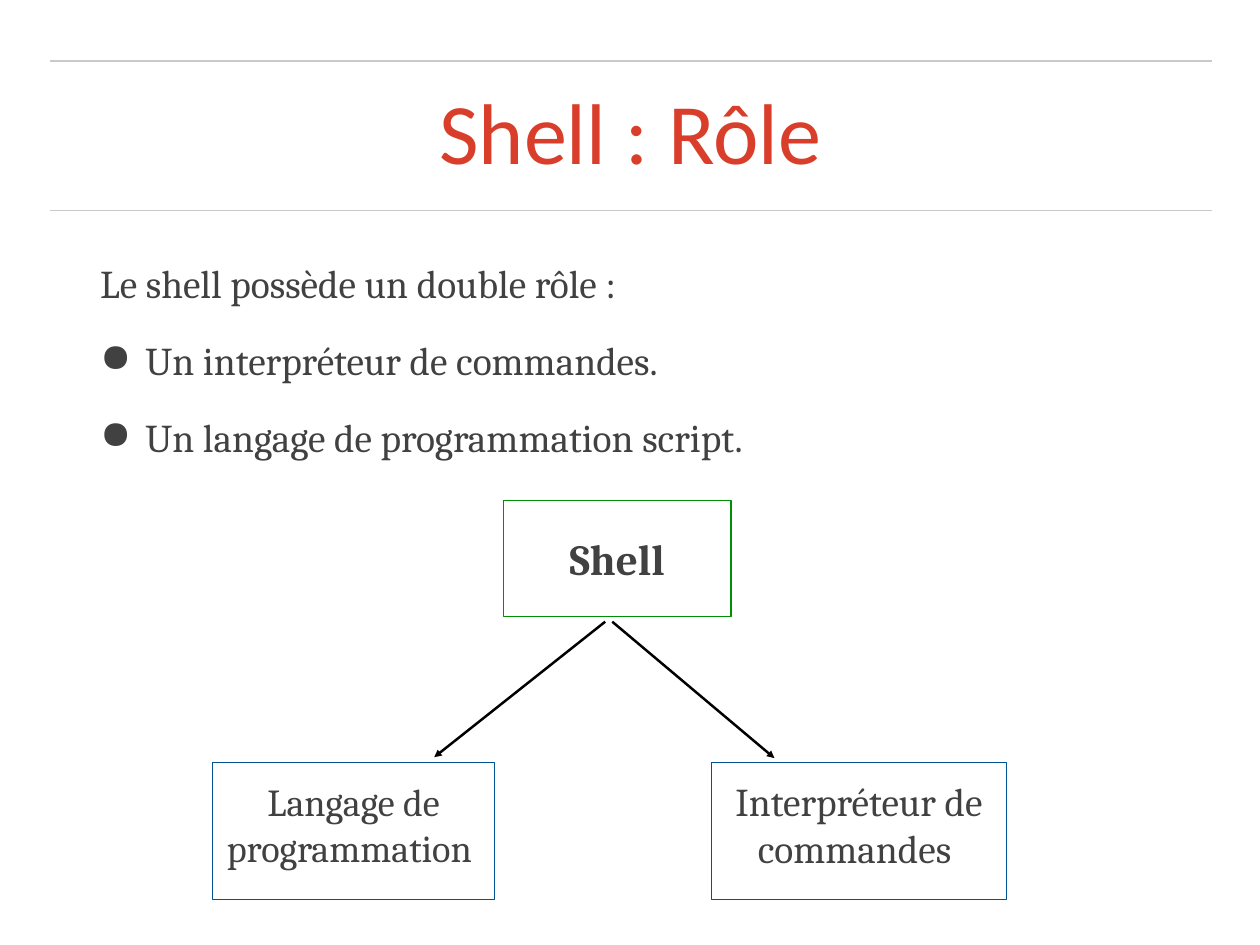
import pptx
import pptx.util
import pptx.dml.color
import pptx.enum.shapes
import pptx.enum.text
import pptx.oxml.ns
import lxml.etree

Inches, Pt = pptx.util.Inches, pptx.util.Pt
ALIGN = pptx.enum.text.PP_ALIGN
ANCHOR = pptx.enum.text.MSO_ANCHOR
qn = pptx.oxml.ns.qn

# Content
COLORS = {"title": "D93E2B", "text": "414141", "rule": "C9C9C9",
          "shell": "008F00", "role": "005493", "arrow": "000000"}
TITLE = "Shell : Rôle"
INTRO = "Le shell possède un double rôle :"
ROLES = ["Un interpréteur de commandes.", "Un langage de programmation script."]

# Text, place (left, top, width, height), outline, size, bold, bottom inset
BOXES = [
    ("Interpréteur de commandes ", (8.03, 8.61, 3.33, 1.55), "role", 32, False, 0.22),
    ("Langage de programmation ", (2.4, 8.61, 3.18, 1.55), "role", 31, False, 0.22),
    ("Shell", (5.68, 5.65, 2.57, 1.31), "shell", 35, True, 0.06),
]
# Start and end points
ARROWS = [((6.91, 7.02), (8.74, 8.56)), ((6.83, 7.02), (4.9, 8.55))]
RULE_TOPS = [0.69, 2.38]
RULE_LEFT, RULE_RIGHT = 0.56, 13.68
INSET = 0.06
BULLET_INDENT = 0.51


def rgb(name):
    return pptx.dml.color.RGBColor.from_string(COLORS[name])


def set_frame(frame, anchor, bottom=INSET):
    frame.word_wrap = True
    frame.vertical_anchor = anchor
    frame.margin_left = frame.margin_right = frame.margin_top = Inches(INSET)
    frame.margin_bottom = Inches(bottom)


def write(paragraph, text, size, font="Cambria", color="text", bold=False, align=ALIGN.CENTER):
    paragraph.text = text
    paragraph.alignment = align
    paragraph.font.name = font
    paragraph.font.size = Pt(size)
    paragraph.font.bold = bold
    paragraph.font.color.rgb = rgb(color)


def add_line(slide, start, end, color, width):
    line = slide.shapes.add_connector(
        pptx.enum.shapes.MSO_CONNECTOR.STRAIGHT, *map(Inches, start + end))
    line.line.color.rgb = rgb(color)
    line.line.width = Pt(width)
    lxml.etree.SubElement(line._element.spPr, qn("a:effectLst"))
    return line


def add_bullet(paragraph):
    properties = paragraph._p.get_or_add_pPr()
    properties.set("marL", str(Inches(BULLET_INDENT)))
    properties.set("indent", str(-Inches(BULLET_INDENT)))
    lxml.etree.SubElement(properties, qn("a:buChar")).set("char", "●")


def main():
    deck = pptx.Presentation()
    deck.slide_width, deck.slide_height = Inches(14.22), Inches(10.67)
    slide = deck.slides.add_slide(deck.slide_layouts[6])

    # Title between two rules
    for top in RULE_TOPS:
        add_line(slide, (RULE_LEFT, top), (RULE_RIGHT, top), "rule", 1)
    title = slide.shapes.add_textbox(*map(Inches, (0.56, 0.88, 13.11, 1.33))).text_frame
    set_frame(title, ANCHOR.MIDDLE)
    write(title.paragraphs[0], TITLE, 70, "Calibri", "title")
    title.paragraphs[0].line_spacing = 0.9

    # Introduction and bullets
    body = slide.shapes.add_textbox(*map(Inches, (1.07, 2.87, 12.47, 2.5))).text_frame
    set_frame(body, ANCHOR.TOP)
    write(body.paragraphs[0], INTRO, 32, align=ALIGN.LEFT)
    for role in ROLES:
        paragraph = body.add_paragraph()
        write(paragraph, role, 32, align=ALIGN.LEFT)
        paragraph.space_before = Pt(24)
        add_bullet(paragraph)

    # Diagram boxes
    for text, place, outline, size, bold, bottom in BOXES:
        box = slide.shapes.add_shape(
            pptx.enum.shapes.MSO_SHAPE.RECTANGLE, *map(Inches, place))
        box.shadow.inherit = False
        box.fill.background()
        box.line.color.rgb = rgb(outline)
        box.line.width = Pt(1)
        set_frame(box.text_frame, ANCHOR.MIDDLE, bottom)
        write(box.text_frame.paragraphs[0], text, size, bold=bold)

    # Arrows from the shell to its roles
    for start, end in ARROWS:
        arrow = add_line(slide, start, end, "arrow", 2)
        head = lxml.etree.SubElement(arrow.line._get_or_add_ln(), qn("a:tailEnd"))
        head.set("type", "triangle")

    deck.save("out.pptx")


if __name__ == "__main__":
    main()
